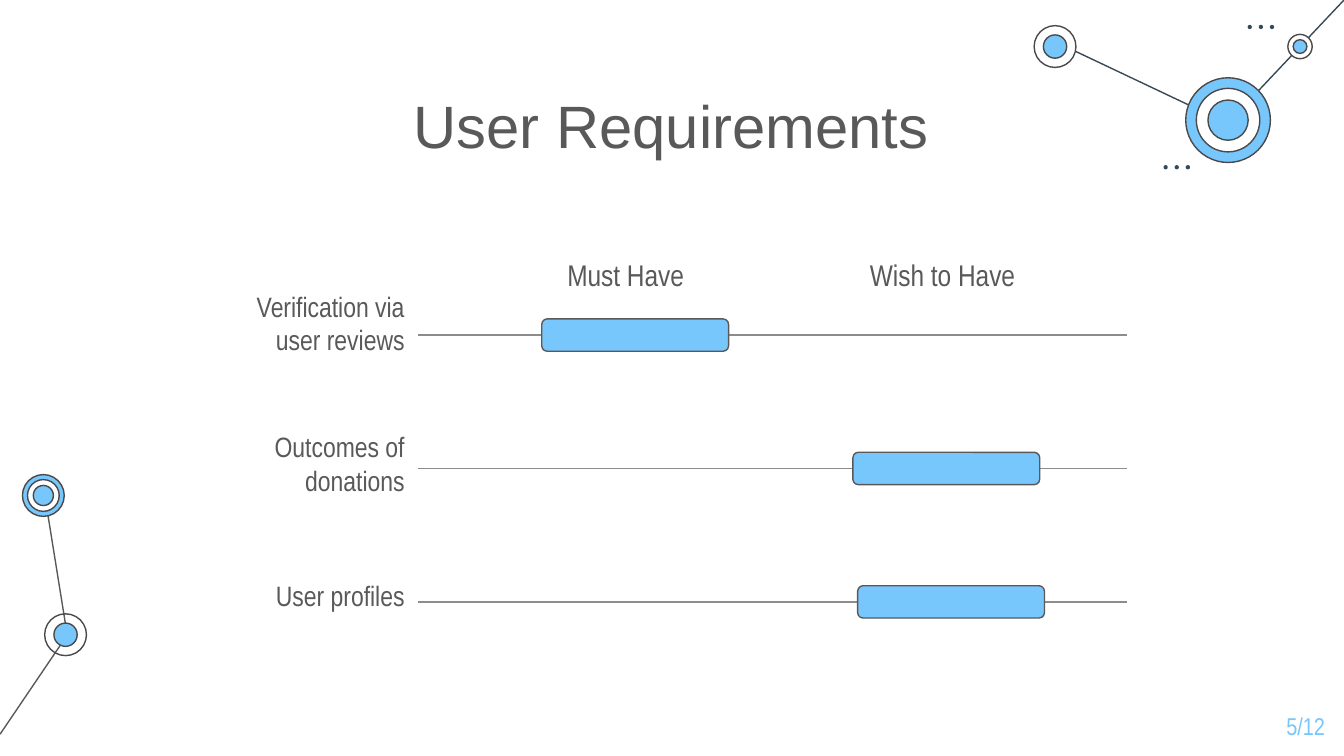
"""Build the user requirements slide with its grid of bars and node trim."""
from dataclasses import dataclass
from typing import NamedTuple, Optional

from lxml.etree import SubElement
from pptx import Presentation
from pptx.dml.color import RGBColor as Rgb
from pptx.enum.shapes import MSO_CONNECTOR as Conn
from pptx.enum.shapes import MSO_SHAPE as Kind
from pptx.enum.text import MSO_ANCHOR as Anchor
from pptx.enum.text import PP_ALIGN as Align
from pptx.oxml.ns import qn
from pptx.util import Cm, Pt


@dataclass(frozen=True)
class Theme:
    sky: str = "77C6FC"
    white: str = "FFFFFF"
    ink: str = "595959"
    rim: str = "494949"
    navy: str = "374957"
    rule: str = "8C8C8C"
    wide: str = "Arial"
    slim: str = "Arial Narrow"
    title: float = 32
    head: float = 16
    label: float = 15
    page: float = 13
    after: float = 16
    edge: float = 0.75


class Box(NamedTuple):
    left: float
    top: float
    width: float
    height: float


class Link(NamedTuple):
    x1: float
    y1: float
    x2: float
    y2: float
    color: str


class Disc(NamedTuple):
    size: float
    fill: Optional[str]


class Node(NamedTuple):
    x: float
    y: float
    discs: tuple[Disc, ...]


class Row(NamedTuple):
    text: str
    top: float
    height: float
    bar: float


class Head(NamedTuple):
    text: str
    left: float


LOOK = Theme()
LINKS = (
    Link(1.27, 11.99, 0.84, 9.32, LOOK.ink),
    Link(0, 13.87, 1.24, 12.04, LOOK.ink),
    Link(23.22, 2.34, 19.99, 0.81, LOOK.navy),
    Link(25.4, 0, 23.22, 2.31, LOOK.navy),
)
NODES = (
    Node(1.24, 11.99, (Disc(0.79, None), Disc(0.44, LOOK.sky))),
    Node(0.82, 9.36, (Disc(0.79, LOOK.sky), Disc(0.6, LOOK.white), Disc(0.38, LOOK.sky))),
    Node(23.21, 2.27, (Disc(1.6, LOOK.sky), Disc(1.2, LOOK.white), Disc(0.76, LOOK.sky))),
    Node(19.94, 0.88, (Disc(0.79, LOOK.white), Disc(0.44, LOOK.sky))),
    Node(24.57, 0.88, (Disc(0.46, LOOK.white), Disc(0.26, LOOK.sky))),
)
DOTS = ((23.62, 0.51), (22.03, 3.16))
DOT_SIZE, DOT_GAP = 0.08, 0.21
HEADS = (Head("Must Have", 10.11), Head("Wish to Have", 16.1))
ROWS = (
    Row("Verification via user reviews", 5.21, 2, 10.24),
    Row("Outcomes of donations", 7.87, 2.08, 16.12),
    Row("User profiles", 10.67, 1.78, 16.21),
)
ROW_TOP, ROW_GAP = 6.33, 2.52
LABEL_LEFT, LABEL_WIDTH, RULE_END = 4.11, 3.79, 21.29
BAR_WIDTH, BAR_HEIGHT = 3.53, 0.61


def draw_link(slide, link: Link) -> None:
    """Draw a thin straight line without a shadow."""
    ends = map(Cm, link[:4])
    line = slide.shapes.add_connector(Conn.STRAIGHT, *ends)
    line.line.width = Pt(LOOK.edge)
    line.line.color.rgb = Rgb.from_string(link.color)
    SubElement(line._element.spPr, qn("a:effectLst"))


def draw_shape(slide, kind: Kind, box: Box, fill: Optional[str], edge: Optional[str]):
    """Draw a flat preset shape and return it."""
    shape = slide.shapes.add_shape(kind, *map(Cm, box))
    shape.shadow.inherit = False
    for part, color in ((shape.fill, fill), (shape.line.fill, edge)):
        if color:
            part.solid()
            part.fore_color.rgb = Rgb.from_string(color)
        else:
            part.background()
    if edge:
        shape.line.width = Pt(LOOK.edge)
    return shape


def draw_disc(slide, x: float, y: float, disc: Disc, edge: Optional[str]) -> None:
    """Draw a circle around a centre point."""
    size = disc.size
    box = Box(x - size / 2, y - size / 2, size, size)
    draw_shape(slide, Kind.OVAL, box, disc.fill, edge)


def draw_text(slide, text: str, box: Box, align: Align, size: float,
              face: str = LOOK.slim, color: str = LOOK.ink, after: float = 0) -> None:
    """Draw one paragraph in a wrapped text box."""
    frame = slide.shapes.add_textbox(*map(Cm, box)).text_frame
    para = frame.paragraphs[0]
    run = para.add_run()
    sides = ("left", "top", "right", "bottom")
    forms = (
        (frame, {"word_wrap": True, "vertical_anchor": Anchor.TOP,
                 **{f"margin_{side}": Cm(0.25) for side in sides}}),
        (para, {"alignment": align, "space_after": Pt(after)}),
        (run, {"text": text}),
        (run.font, {"name": face, "size": Pt(size)}),
        (run.font.color, {"rgb": Rgb.from_string(color)}),
    )
    for item, form in forms:
        for key, value in form.items():
            setattr(item, key, value)


def draw_row(slide, row: Row, mid: float) -> None:
    """Draw a rule with its label and bar."""
    start = LABEL_LEFT + LABEL_WIDTH
    draw_link(slide, Link(start, mid, RULE_END, mid, LOOK.rule))
    box = Box(LABEL_LEFT, row.top, LABEL_WIDTH, row.height)
    draw_text(slide, row.text, box, Align.RIGHT, LOOK.label, after=LOOK.after)
    box = Box(row.bar, mid - BAR_HEIGHT / 2, BAR_WIDTH, BAR_HEIGHT)
    draw_shape(slide, Kind.ROUNDED_RECTANGLE, box, LOOK.sky, LOOK.ink)


def main() -> None:
    """Build and save the deck."""
    deck = Presentation()
    deck.slide_width, deck.slide_height = Cm(25.4), Cm(14.28)
    slide = deck.slides.add_slide(deck.slide_layouts[6])
    for link in LINKS:
        draw_link(slide, link)
    for node in NODES:
        for disc in node.discs:
            draw_disc(slide, node.x, node.y, disc, LOOK.rim)
    for x, y in DOTS:
        for step in range(3):
            draw_disc(slide, x + step * DOT_GAP, y, Disc(DOT_SIZE, LOOK.navy), None)
    draw_text(slide, "User Requirements", Box(5.05, 1.42, 15.27, 1.78),
              Align.CENTER, LOOK.title, LOOK.wide)
    for head in HEADS:
        draw_text(slide, head.text, Box(head.left, 4.6, 3.43, 1.52),
                  Align.CENTER, LOOK.head, after=LOOK.after)
    for place, row in enumerate(ROWS):
        draw_row(slide, row, ROW_TOP + place * ROW_GAP)
    draw_text(slide, "5/12", Box(23.77, 13.18, 1.52, 1.09),
              Align.RIGHT, LOOK.page, color=LOOK.sky)
    deck.save("out.pptx")


if __name__ == "__main__":
    main()
